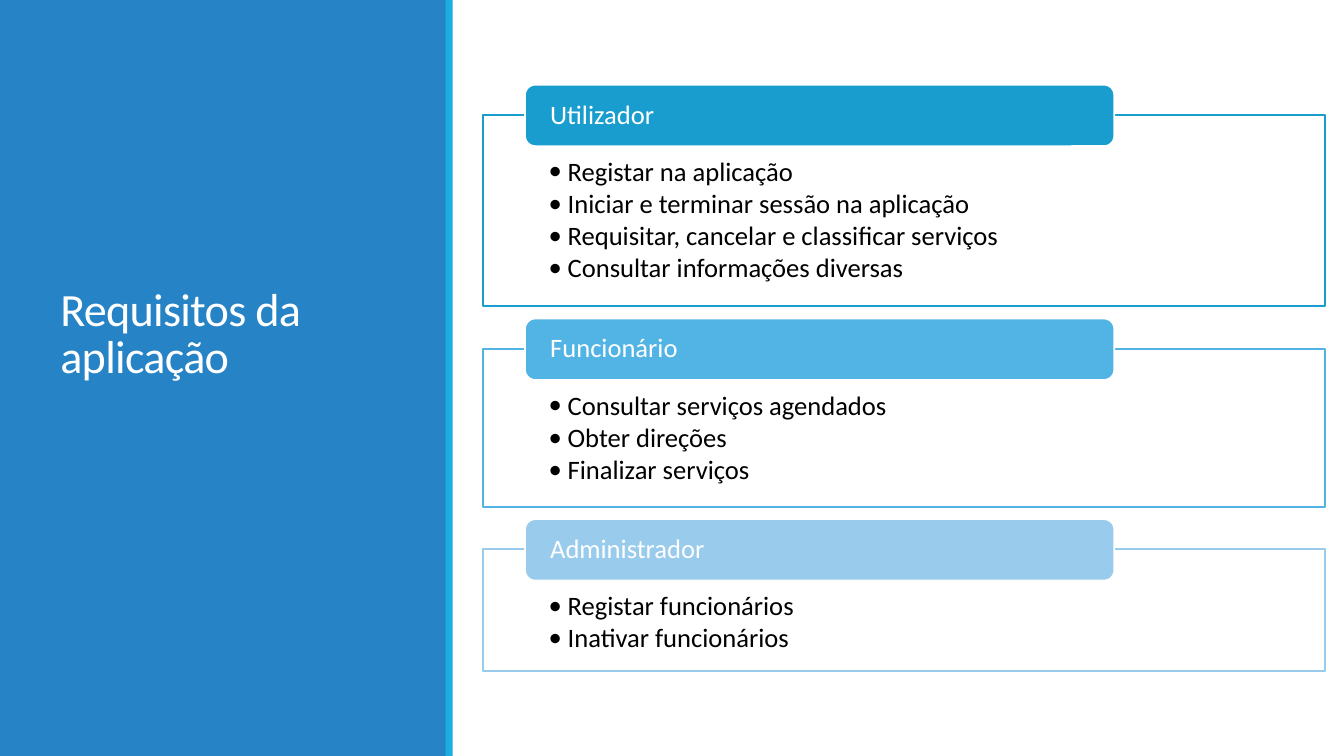
from pptx import Presentation, util as u
from pptx.dml.color import RGBColor
from pptx.enum import shapes, text
from pptx.oxml import ns
from lxml import etree

WIDE, HIGH = 13.33, 7.5
FONT = "Calibri"
WHITE, BLACK = "FFFFFF", "000000"
KIND = shapes.MSO_SHAPE
ROLES = [
    ("Utilizador", "199DCF", 1.9, [
        "Registar na aplicação",
        "Iniciar e terminar sessão na aplicação",
        "Requisitar, cancelar e classificar serviços",
        "Consultar informações diversas"]),
    ("Funcionário", "52B3E5", 1.57, [
        "Consultar serviços agendados",
        "Obter direções",
        "Finalizar serviços"]),
    ("Administrador", "99CBEC", 1.21, [
        "Registar funcionários",
        "Inativar funcionários"]),
]


def color(code):
    """Turn a hex string into a colour."""
    return RGBColor.from_string(code)


def block(slide, kind, box, fill, line=None):
    """Draw a flat shape in a box given in inches."""
    shape = slide.shapes.add_shape(kind, *map(u.Inches, box))
    shape.shadow.inherit = False
    shape.fill.solid()
    shape.fill.fore_color.rgb = color(fill)
    if line:
        shape.line.color.rgb = color(line)
        shape.line.width = u.Pt(1.25)
    else:
        shape.line.fill.background()
    return shape


def setup(shape, insets, anchor):
    """Set wrapping, insets and anchor, and return the text frame."""
    frame = shape.text_frame
    frame.word_wrap = True
    frame.vertical_anchor = anchor
    (frame.margin_left, frame.margin_top,
     frame.margin_right, frame.margin_bottom) = map(u.Inches, insets)
    return frame


def write(para, words, size, ink, lead=0.9):
    """Add one run to a left-aligned paragraph."""
    para.alignment = text.PP_ALIGN.LEFT
    para.line_spacing = lead
    run = para.add_run()
    run.text = words
    run.font.size = u.Pt(size)
    run.font.name = FONT
    run.font.color.rgb = color(ink)
    return run


def bullet(para):
    """Give a paragraph a hanging bullet."""
    props = para._p.get_or_add_pPr()
    props.set("marL", str(u.Inches(0.19)))
    props.set("indent", str(-u.Inches(0.19)))
    para.space_after = u.Pt(2.5)
    etree.SubElement(props, ns.qn("a:buFont")).set("typeface", FONT)
    etree.SubElement(props, ns.qn("a:buChar")).set("char", "•")


def panel(slide, left, top, wide, high):
    """Draw the coloured side panel with its edge and title."""
    block(slide, KIND.RECTANGLE, (left, top, wide, high), "2683C6")
    block(slide, KIND.RECTANGLE, (left + wide - 0.01, top, 0.07, high), "1CADE4")
    title = slide.shapes.add_textbox(
        *map(u.Inches, (left + 0.5, top + 0.65, 3.5, 6.31)))
    frame = setup(title, (0.1, 0.05, 0.1, 3.16), text.MSO_ANCHOR.BOTTOM)
    run = write(frame.paragraphs[0], "Requisitos da aplicação", 33, WHITE, 0.85)
    run.font._element.set("spc", "-50")


def card(slide, left, top, wide, high, name, hue, items):
    """Draw one role: a framed list under a rounded heading."""
    body = block(slide, KIND.RECTANGLE, (left, top, wide, high), WHITE, hue)
    frame = setup(body, (0.65, 0.43, 0.65, 0.15), text.MSO_ANCHOR.TOP)
    for count, item in enumerate(items):
        para = frame.add_paragraph() if count else frame.paragraphs[0]
        write(para, item, 19, BLACK)
        bullet(para)
    head = block(slide, KIND.ROUNDED_RECTANGLE,
                 (left + wide * 0.05, top - 0.3, wide * 0.7, 0.61), hue, WHITE)
    frame = setup(head, (0.22, 0, 0.22, 0), text.MSO_ANCHOR.MIDDLE)
    write(frame.paragraphs[0], name, 19, WHITE)


def stack(slide, left, top, wide, gap):
    """Stack the role cards with equal gaps."""
    for name, hue, high, items in ROLES:
        card(slide, left, top, wide, high, name, hue, items)
        top += high + gap


def main():
    """Build and save the slide."""
    deck = Presentation()
    deck.slide_width, deck.slide_height = u.Inches(WIDE), u.Inches(HIGH)
    slide = deck.slides.add_slide(deck.slide_layouts[6])
    panel(slide, 0, 0, 4.43, HIGH)
    stack(slide, 4.79, 1.14, 8.35, 0.42)
    deck.save("out.pptx")


if __name__ == "__main__":
    main()
